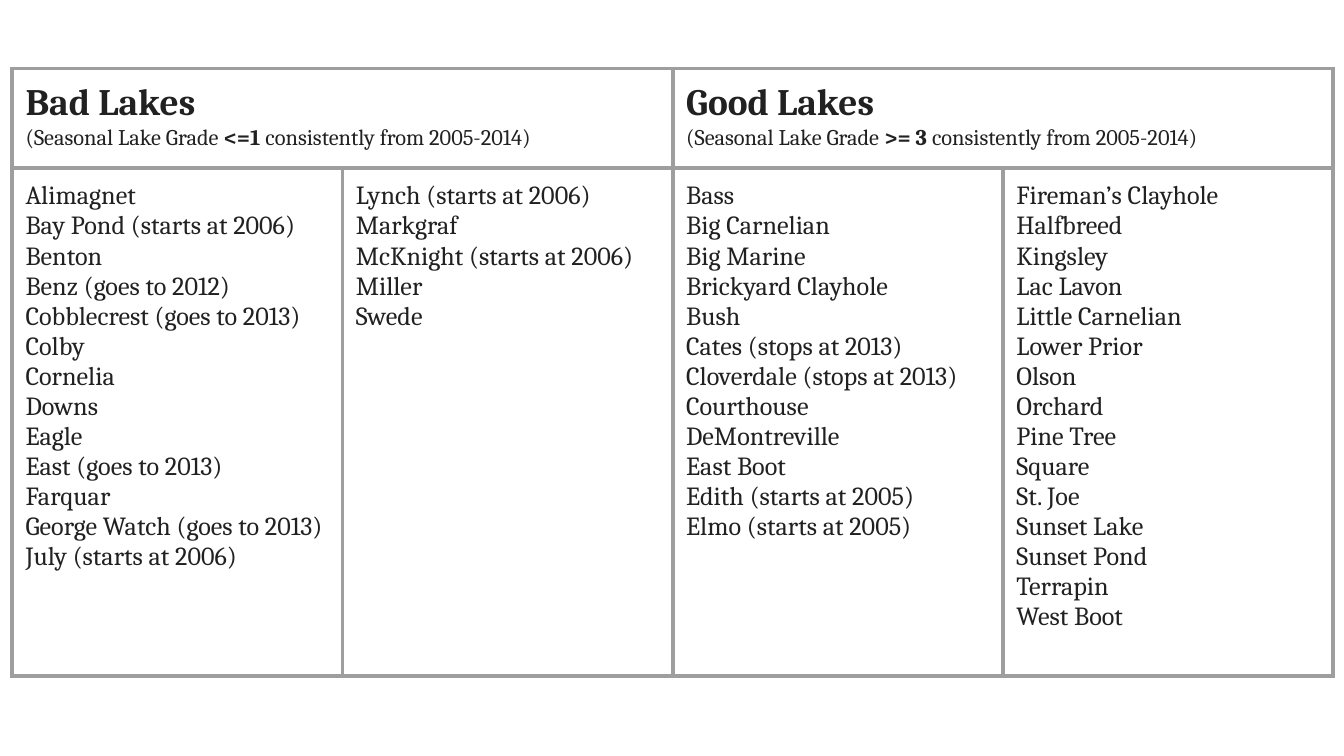
from lxml import etree
from pptx import Presentation
from pptx.dml.color import RGBColor
from pptx.oxml.ns import qn
from pptx.util import Inches, Pt

COLORS = {"text": "212121", "border": "9E9E9E"}
FONT = "Cambria"
BORDER_WIDTH = Pt(2.25)
CELL_MARGIN = Inches(0.1)
BORDER_TAGS = ("a:lnL", "a:lnR", "a:lnT", "a:lnB")
SLIDE_WIDTH = 10
SLIDE_HEIGHT = SLIDE_WIDTH * 9 / 16
TABLE_WIDTH = 9.83
COLUMN_COUNT = 4

# Each group: title, grade condition, and the two columns of lakes
LAKE_GROUPS = [
    ("Bad Lakes", ("<=1 ", "consistently from 2005-2014)"), [
        ["Alimagnet", "Bay Pond (starts at 2006)", "Benton",
         "Benz (goes to 2012)", "Cobblecrest (goes to 2013)", "Colby",
         "Cornelia", "Downs", "Eagle", "East (goes to 2013)", "Farquar",
         "George Watch (goes to 2013)", "July (starts at 2006)"],
        ["Lynch (starts at 2006)", "Markgraf", "McKnight (starts at 2006)",
         "Miller", "Swede"],
    ]),
    ("Good Lakes", (">= 3", " consistently from 2005-2014)"), [
        ["Bass", "Big Carnelian", "Big Marine", "Brickyard Clayhole", "Bush",
         "Cates (stops at 2013)", "Cloverdale (stops at 2013)", "Courthouse",
         "DeMontreville", "East Boot", "Edith (starts at 2005)",
         "Elmo (starts at 2005)"],
        ["Fireman’s Clayhole", "Halfbreed", "Kingsley", "Lac Lavon",
         "Little Carnelian", "Lower Prior", "Olson", "Orchard", "Pine Tree",
         "Square", "St. Joe", "Sunset Lake", "Sunset Pond", "Terrapin",
         "West Boot"],
    ]),
]


def add_text(paragraph, text, size=14, bold=False, color="text"):
    run = paragraph.add_run()
    run.text = text
    run.font.name = FONT
    run.font.size = Pt(size)
    run.font.bold = bold
    run.font.color.rgb = RGBColor.from_string(COLORS[color])


class SlideBuilder:
    def __init__(self, slide):
        self.slide = slide

    def table(self, left, top, column_widths, row_heights):
        frame = self.slide.shapes.add_table(
            len(row_heights), len(column_widths), Inches(left), Inches(top),
            Inches(sum(column_widths)), Inches(sum(row_heights)))
        table = frame.table
        table.first_row = table.horz_banding = False
        for column, width in zip(table.columns, column_widths):
            column.width = Inches(width)
        for row, height in zip(table.rows, row_heights):
            row.height = Inches(height)
        for cell in table.iter_cells():
            self.style_cell(cell)
        return table

    def style_cell(self, cell):
        cell.margin_left = cell.margin_right = CELL_MARGIN
        cell.margin_top = cell.margin_bottom = CELL_MARGIN
        properties = cell._tc.get_or_add_tcPr()
        for tag in BORDER_TAGS:
            line = etree.SubElement(properties, qn(tag), w=str(int(BORDER_WIDTH)))
            fill = etree.SubElement(line, qn("a:solidFill"))
            etree.SubElement(fill, qn("a:srgbClr"), val=COLORS["border"])
        cell.fill.background()

    def heading(self, cell, title, condition, period):
        add_text(cell.text_frame.paragraphs[0], title, size=20, bold=True)
        subtitle = cell.text_frame.add_paragraph()
        add_text(subtitle, "(Seasonal Lake Grade ", size=12)
        add_text(subtitle, condition, size=12, bold=True)
        add_text(subtitle, period, size=12)

    def lake_list(self, cell, lakes):
        text_frame = cell.text_frame
        for index, lake in enumerate(lakes):
            paragraph = text_frame.add_paragraph() if index else text_frame.paragraphs[0]
            add_text(paragraph, lake)


def main():
    presentation = Presentation()
    presentation.slide_width = Inches(SLIDE_WIDTH)
    presentation.slide_height = Inches(SLIDE_HEIGHT)
    slide = presentation.slides.add_slide(presentation.slide_layouts[6])
    builder = SlideBuilder(slide)

    # Four equal columns: a heading row above the lake lists
    column_widths = [TABLE_WIDTH / COLUMN_COUNT] * COLUMN_COUNT
    table = builder.table(0.09, 0.51, column_widths, [0.74, 3.78])

    # Each heading spans the two columns of its group
    for group, (title, (condition, period), lists) in enumerate(LAKE_GROUPS):
        first = group * 2
        heading_cell = table.cell(0, first)
        heading_cell.merge(table.cell(0, first + 1))
        builder.heading(heading_cell, title, condition, period)
        for offset, lakes in enumerate(lists):
            builder.lake_list(table.cell(1, first + offset), lakes)

    presentation.save("out.pptx")


if __name__ == "__main__":
    main()
